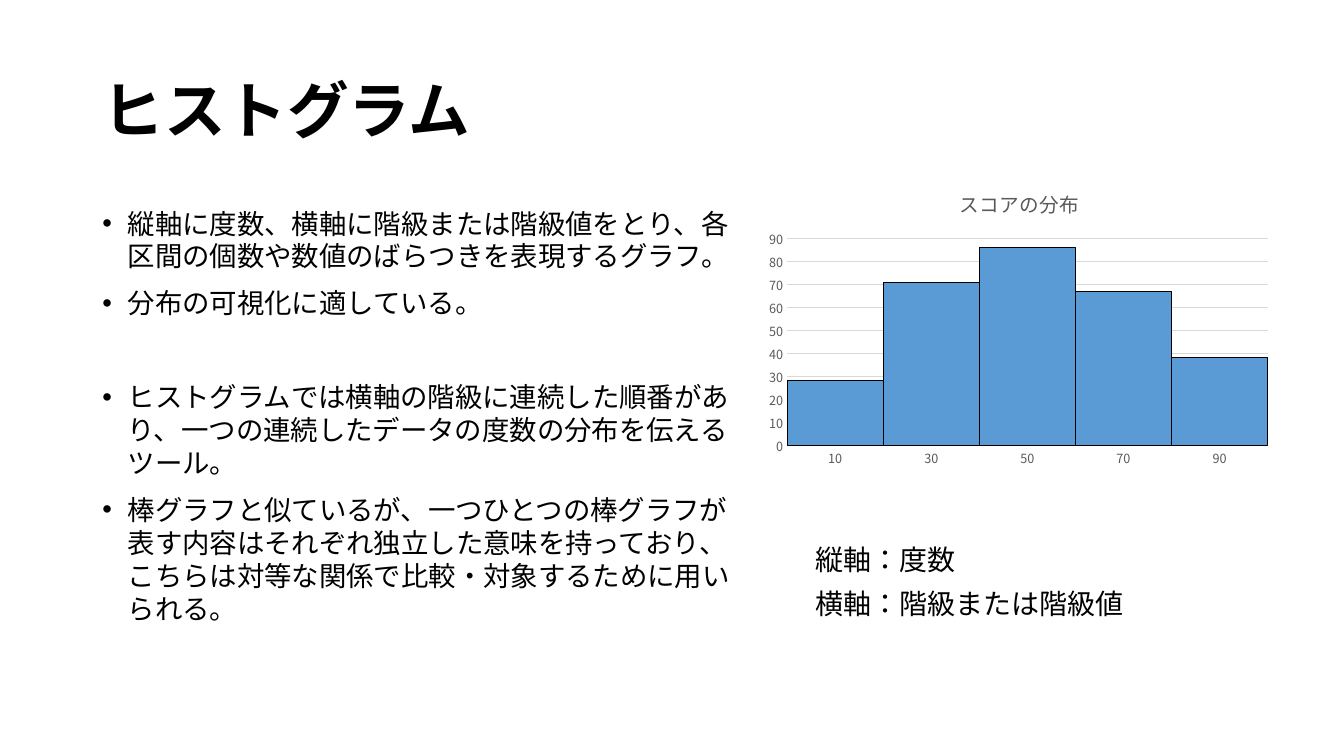
from lxml import etree
from pptx import Presentation
from pptx.chart.data import CategoryChartData
from pptx.dml.color import RGBColor
from pptx.enum.chart import XL_CHART_TYPE, XL_TICK_MARK
from pptx.enum.lang import MSO_LANGUAGE_ID
from pptx.enum.text import MSO_ANCHOR, MSO_AUTO_SIZE, PP_ALIGN
from pptx.oxml import parse_xml
from pptx.oxml.ns import nsdecls, qn
from pptx.util import Pt

COLUMN = XL_CHART_TYPE.COLUMN_CLUSTERED
NO_TICK = XL_TICK_MARK.NONE
TOP, MIDDLE = MSO_ANCHOR.TOP, MSO_ANCHOR.MIDDLE
FIXED = MSO_AUTO_SIZE.NONE
LEFT = PP_ALIGN.LEFT
JAPANESE = MSO_LANGUAGE_ID.JAPANESE

# Content
TITLE = "ヒストグラム"
USES = [
    "縦軸に度数、横軸に階級または階級値をとり、各区間の個数や数値のばらつきを表現するグラフ。",
    "分布の可視化に適している。",
]
TRAITS = [
    "ヒストグラムでは横軸の階級に連続した順番があり、一つの連続したデータの度数の分布を伝えるツール。",
    "棒グラフと似ているが、一つひとつの棒グラフが表す内容はそれぞれ独立した意味を持っており、"
    "こちらは対等な関係で比較・対象するために用いられる。",
]
AXES = ["縦軸：度数", "横軸：階級または階級値"]
HEAD = "スコアの分布"
SCORES = {"10": 28, "30": 71, "50": 86, "70": 67, "90": 38}

THEME = {
    "font": "Noto Sans CJK JP",
    "ink": RGBColor(0, 0, 0),
    "label": RGBColor(0x59, 0x59, 0x59),
    "grid": RGBColor(0xD9, 0xD9, 0xD9),
    "bar": RGBColor(0x5B, 0x9B, 0xD5),
    "title": 44, "body": 19.6, "note": 20, "head": 14, "tick": 9,
}

# Boxes in points: left, top, width, height
TITLE_BOX = (66, 28.8, 828, 104.4)
BODY_BOX = (66, 144, 465, 352.8)
NOTE_BOX = (575.3, 386.6, 451.4, 82.1)
CHART_BOX = (542.9, 123.1, 370.8, 215.3)
# Plot area in points, inside the chart box
PLOT = {"x": 19.4, "y": 47.2, "w": 343.2, "h": 147.8}
GAP, BREAK, INDENT = 10, 43.5, 18


def style(font, size, color, bold=False):
    font.name = THEME["font"]
    font.size = Pt(size)
    font.color.rgb = color
    font.bold = bold
    font.language_id = JAPANESE


def set_east(root):
    """Give East Asian text the same typeface as Latin text."""
    for latin in list(root.iter(qn("a:latin"))):
        east = etree.Element(qn("a:ea"), typeface=THEME["font"])
        latin.addnext(east)


def place(shape, box):
    shape.left, shape.top, shape.width, shape.height = map(Pt, box)


def write(shape, lines, size, bold=False, anchor=TOP, space=0.9,
          gaps=None, bullet=False):
    frame = shape.text_frame
    frame.word_wrap = True
    frame.auto_size = FIXED
    frame.vertical_anchor = anchor
    for i, line in enumerate(lines):
        para = frame.paragraphs[0] if i == 0 else frame.add_paragraph()
        props = para._p.get_or_add_pPr()
        if bullet:
            props.set("marL", str(Pt(INDENT)))
            props.set("indent", str(-Pt(INDENT)))
            etree.SubElement(props, qn("a:buFont"), typeface="Arial")
            etree.SubElement(props, qn("a:buChar"), char="•")
        para.alignment = LEFT
        para.line_spacing = space
        para.space_before = Pt(gaps[i] if gaps else 0)
        run = para.add_run()
        run.text = line
        style(run.font, size, THEME["ink"], bold)
    set_east(shape._element)


deck = Presentation()
deck.slide_width, deck.slide_height = Pt(960), Pt(540)
slide = deck.slides.add_slide(deck.slide_layouts[1])

# Title and bullet list
title, body = slide.shapes.title, slide.placeholders[1]
place(title, TITLE_BOX)
write(title, [TITLE], THEME["title"], bold=True, anchor=MIDDLE)
place(body, BODY_BOX)
write(body, USES + TRAITS, THEME["body"], space=1.0,
      gaps=[0, GAP, BREAK, GAP], bullet=True)

# Axis notes
note = slide.shapes.add_textbox(*map(Pt, NOTE_BOX))
write(note, AXES, THEME["note"], gaps=[0, GAP])

# Histogram
data = CategoryChartData()
data.categories = list(SCORES)
data.add_series("Series 1", list(SCORES.values()))
chart = slide.shapes.add_chart(COLUMN, *map(Pt, CHART_BOX), data).chart
style(chart.font, THEME["tick"], THEME["label"])
chart.has_legend = False
chart.has_title = True
chart.chart_title.include_in_layout = False
head = chart.chart_title.text_frame.paragraphs[0].add_run()
head.text = HEAD
style(head.font, THEME["head"], THEME["label"])

plot = chart.plots[0]
plot.vary_by_categories = False
plot.gap_width = 0
plot.overlap = -27
bars = plot.series[0].format
bars.fill.solid()
bars.fill.fore_color.rgb = THEME["bar"]
bars.line.color.rgb = THEME["ink"]
bars.line.width = Pt(0.75)

cats, vals = chart.category_axis, chart.value_axis
for axis in (cats, vals):
    axis.major_tick_mark = axis.minor_tick_mark = NO_TICK
    style(axis.tick_labels.font, THEME["tick"], THEME["label"])
vals.minimum_scale, vals.maximum_scale, vals.major_unit = 0, 90, 10
vals.format.line.fill.background()
for line in (cats.format.line, vals.major_gridlines.format.line):
    line.color.rgb = THEME["grid"]
    line.width = Pt(0.75)

# Fixed inner plot area, as shares of the chart box
area = chart._chartSpace.chart.plotArea
for old in area.findall(qn("c:layout")):
    area.remove(old)
wide, high = CHART_BOX[2:]
whole = {"x": wide, "y": high, "w": wide, "h": high}
sides = "".join(f'<c:{key} val="{val / whole[key]:.4f}"/>'
                for key, val in PLOT.items())
area.insert(0, parse_xml(
    f'<c:layout {nsdecls("c")}><c:manualLayout><c:layoutTarget val="inner"/>'
    f'<c:xMode val="edge"/><c:yMode val="edge"/>{sides}'
    '</c:manualLayout></c:layout>'))
set_east(chart._chartSpace)

deck.save("out.pptx")
